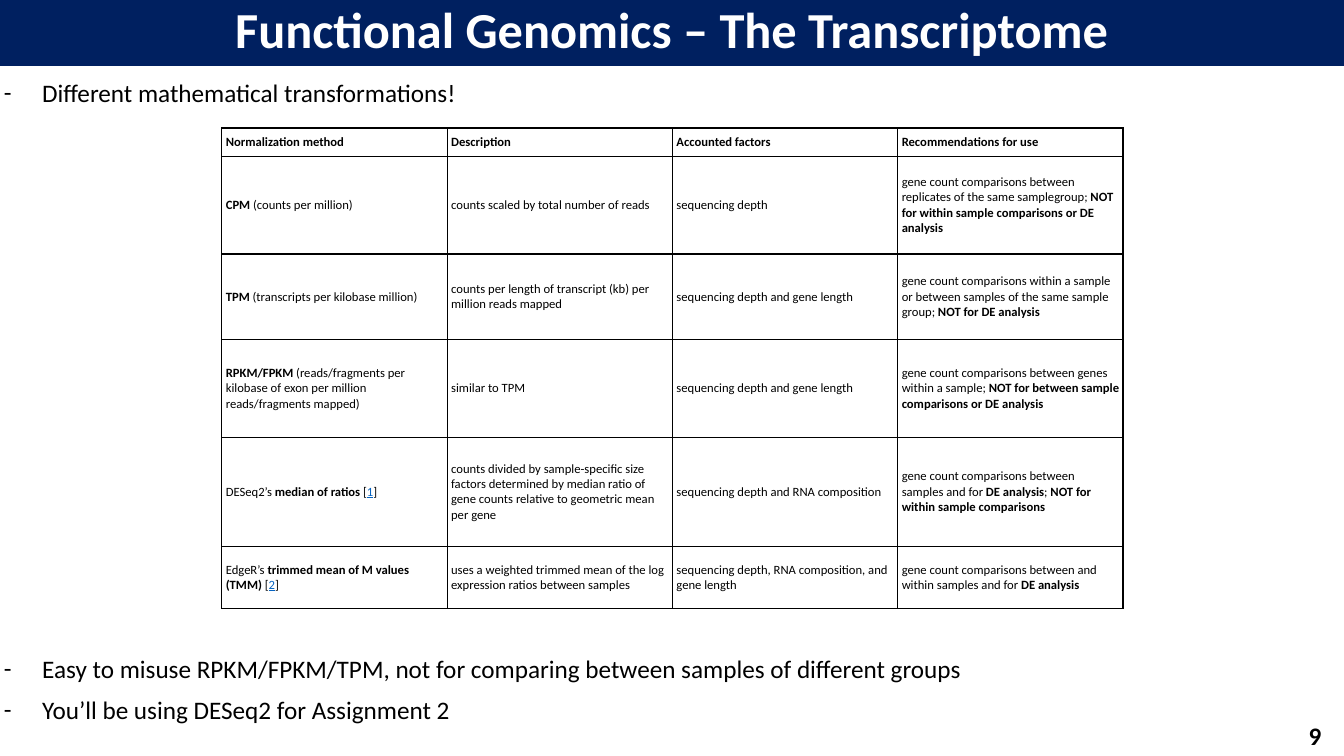
"""Builds the slide comparing normalization methods for transcriptome data."""
from lxml import etree
from pptx import Presentation
from pptx.dml.color import RGBColor
from pptx.enum.text import MSO_ANCHOR, MSO_AUTO_SIZE, PP_ALIGN
from pptx.oxml.ns import qn
from pptx.util import Inches, Pt

CENTER = PP_ALIGN.CENTER
BOTTOM, MIDDLE = MSO_ANCHOR.BOTTOM, MSO_ANCHOR.MIDDLE
NO_FIT, GROW = MSO_AUTO_SIZE.NONE, MSO_AUTO_SIZE.SHAPE_TO_FIT_TEXT
NAVY = RGBColor(0x00, 0x20, 0x60)
WHITE = RGBColor(0xFF, 0xFF, 0xFF)
BLACK = RGBColor(0x00, 0x00, 0x00)
LINK_BLUE = RGBColor(0x05, 0x63, 0xC1)

ROW_HEIGHTS = [0.28, 0.97, 0.85, 0.97, 1.08, 0.62]
METHODS = [
    ["*Normalization method*", "*Description*", "*Accounted factors*",
     "*Recommendations for use*"],
    ["*CPM* (counts per million)", "counts scaled by total number of reads",
     "sequencing depth",
     "gene count comparisons between replicates of the same samplegroup; "
     "*NOT for within sample comparisons or DE analysis*"],
    ["*TPM* (transcripts per kilobase million)",
     "counts per length of transcript (kb) per million reads mapped",
     "sequencing depth and gene length",
     "gene count comparisons within a sample or between samples of the same "
     "sample group; *NOT for DE analysis*"],
    ["*RPKM/FPKM* (reads/fragments per kilobase of exon per million "
     "reads/fragments mapped)", "similar to TPM",
     "sequencing depth and gene length",
     "gene count comparisons between genes within a sample; "
     "*NOT for between sample comparisons or DE analysis*"],
    ["DESeq2’s *median of ratios* [~1~]",
     "counts divided by sample-specific size factors determined by median "
     "ratio of gene counts relative to geometric mean per gene",
     "sequencing depth and RNA composition",
     "gene count comparisons between samples and for *DE analysis*; "
     "*NOT for within sample comparisons*"],
    ["EdgeR’s *trimmed mean of M values (TMM)* [~2~]",
     "uses a weighted trimmed mean of the log expression ratios between samples",
     "sequencing depth, RNA composition, and gene length",
     "gene count comparisons between and within samples and for *DE analysis*"],
]
POINTS = [
    ("Different mathematical transformations!", 0),
    ("Easy to misuse RPKM/FPKM/TPM, not for comparing between samples of "
     "different groups", 392),
    ("You’ll be using DESeq2 for Assignment 2", 10),
]


class SlideBuilder:
    def __init__(self, prs, font="Calibri"):
        self.font = font
        self.s = prs.slides.add_slide(prs.slide_layouts[5])

    def style(self, r, size, color=BLACK, bold=False):
        r.font.name = self.font
        r.font.size = Pt(size)
        r.font.color.rgb = color
        r.font.bold = bold

    def place(self, sp, left, top, width, height):
        sp.left, sp.top = Inches(left), Inches(top)
        sp.width, sp.height = Inches(width), Inches(height)

    def title(self, text, *box):
        sp = self.s.shapes.title
        self.place(sp, *box)
        sp.fill.solid()
        sp.fill.fore_color.rgb = NAVY
        sp.line.color.rgb = NAVY
        sp.line.width = Pt(2.25)
        tf = sp.text_frame
        tf.text = text
        tf.auto_size = NO_FIT
        tf.vertical_anchor = BOTTOM
        p = tf.paragraphs[0]
        p.alignment = CENTER
        p.line_spacing = 0.9
        self.style(p.runs[0], 36, WHITE, True)

    def bullets(self, points, *box):
        tf = self.s.shapes.add_textbox(*map(Inches, box)).text_frame
        tf.word_wrap = True
        for i, (text, gap) in enumerate(points):
            p = tf.add_paragraph() if i else tf.paragraphs[0]
            p.text = text
            p.line_spacing = 0.9
            p.space_before = Pt(gap)
            pPr = p._p.get_or_add_pPr()
            pPr.set("marL", str(Inches(0.38)))
            pPr.set("indent", str(-Inches(0.38)))
            etree.SubElement(pPr, qn("a:buFont"), typeface=self.font)
            etree.SubElement(pPr, qn("a:buChar"), char="-")
            self.style(p.runs[0], 18)

    def page_number(self, text, *box):
        tf = self.s.shapes.add_textbox(*map(Inches, box)).text_frame
        tf.text = text
        tf.word_wrap = False
        tf.auto_size = GROW
        self.style(tf.paragraphs[0].runs[0], 18, bold=True)

    def marked_text(self, p, text, size):
        for i, chunk in enumerate(text.split("*")):
            for j, piece in enumerate(chunk.split("~")):
                if piece:
                    r = p.add_run()
                    r.text = piece
                    link = j % 2 == 1
                    self.style(r, size, LINK_BLUE if link else BLACK, i % 2 == 1)
                    r.font.underline = link

    def borders(self, cell):
        tcPr = cell._tc.get_or_add_tcPr()
        for i, side in enumerate(("lnL", "lnR", "lnT", "lnB")):
            ln = etree.Element(qn("a:" + side), w=str(Pt(1)))
            fill = etree.SubElement(ln, qn("a:solidFill"))
            etree.SubElement(fill, qn("a:srgbClr"), val=str(BLACK))
            tcPr.insert(i, ln)

    def table(self, rows, heights, left, top, width):
        box = map(Inches, (left, top, width, sum(heights)))
        tbl = self.s.shapes.add_table(len(rows), len(rows[0]), *box).table
        tbl.first_row = tbl.horz_banding = False
        for row, height, texts in zip(tbl.rows, heights, rows):
            row.height = Inches(height)
            for cell, text in zip(row.cells, texts):
                cell.margin_left = cell.margin_right = Inches(0.04)
                cell.margin_top = cell.margin_bottom = Inches(0.02)
                cell.vertical_anchor = MIDDLE
                cell.fill.background()
                self.borders(cell)
                self.marked_text(cell.text_frame.paragraphs[0], text, 9)


def main():
    prs = Presentation()
    prs.slide_width, prs.slide_height = Inches(13.33), Inches(7.5)
    slide = SlideBuilder(prs)
    slide.title("Functional Genomics – The Transcriptome", 0, 0, 13.33, 0.64)
    slide.bullets(POINTS, -0.06, 0.75, 13.33, 6.63)
    slide.page_number("9", 12.88, 7.1, 0.33, 0.4)
    slide.table(METHODS, ROW_HEIGHTS, 2.2, 1.27, 8.94)
    prs.save("out.pptx")


if __name__ == "__main__":
    main()
